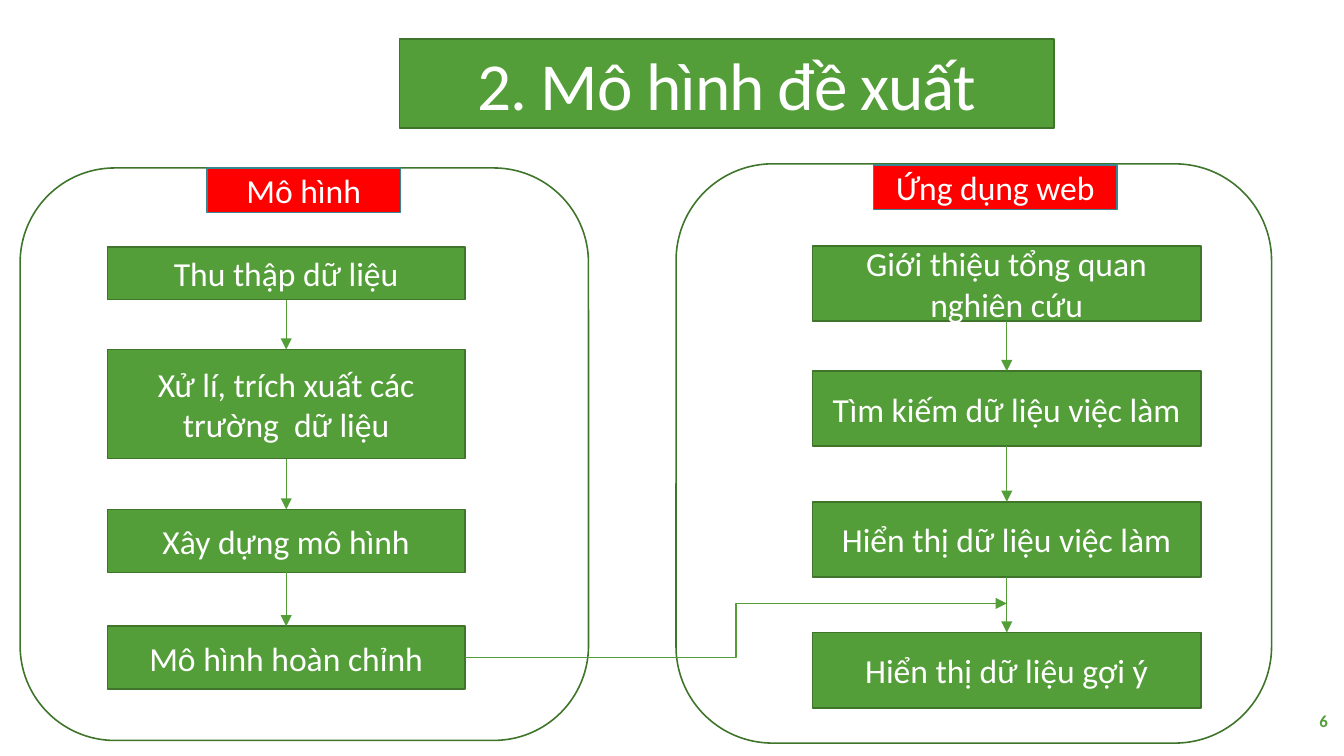
from dataclasses import dataclass
from itertools import pairwise

from lxml import etree
from pptx import Presentation
from pptx import util as u
from pptx.dml.color import RGBColor
from pptx.enum import shapes, text
from pptx.oxml.ns import qn

GREEN, DARK_GREEN = "549E39", "3E752A"
RED, TEAL, WHITE = "FF0000", "378691", "FFFFFF"
TOP, BOTTOM, RIGHT = 0, 2, 3  # connection sites of a rectangle


@dataclass
class Box:
    left: float
    top: float
    width: float
    height: float
    label: str = ""
    fill: str | None = GREEN
    line: str = DARK_GREEN
    size: float = 18
    kind: shapes.MSO_SHAPE = shapes.MSO_SHAPE.RECTANGLE


@dataclass
class Column:
    """A panel with a heading and a chain of steps given as (top, height, label)."""
    panel: Box
    heading: Box
    left: float
    width: float
    steps: list[tuple[float, float, str]]


def colour(value: str) -> RGBColor:
    return RGBColor.from_string(value)


def set_format(target, values: dict) -> None:
    for name, value in values.items():
        setattr(target, name, value)


def write(shape, label: str, size: float, hex_colour: str,
          alignment=text.PP_ALIGN.CENTER, bold: bool = False):
    frame = shape.text_frame
    set_format(frame, {"word_wrap": True, "vertical_anchor": text.MSO_ANCHOR.MIDDLE})
    paragraph = frame.paragraphs[0]
    paragraph.alignment = alignment
    run = paragraph.add_run()
    run.text = label
    set_format(run.font, {"name": "Calibri", "size": u.Pt(size), "bold": bold})
    run.font.color.rgb = colour(hex_colour)
    return run


def place(box: Box) -> list[u.Length]:
    return [u.Pt(value) for value in (box.left, box.top, box.width, box.height)]


def draw_box(slide, box: Box):
    shape = slide.shapes.add_shape(box.kind, *place(box))
    shape.shadow.inherit = False
    if box.fill:
        shape.fill.solid()
        shape.fill.fore_color.rgb = colour(box.fill)
    else:
        shape.fill.background()
    shape.line.color.rgb = colour(box.line)
    shape.line.width = u.Pt(0.85)
    if box.label:
        write(shape, box.label, box.size, WHITE)
    return shape


def draw_arrow(slide, kind, start: tuple[float, float], end: tuple[float, float]):
    connector = slide.shapes.add_connector(kind, *(u.Pt(value) for value in start + end))
    connector.line.color.rgb = colour(GREEN)
    connector.line.width = u.Pt(0.75)
    properties = connector.element.spPr
    etree.SubElement(properties.find(qn("a:ln")), qn("a:tailEnd"), type="triangle")
    etree.SubElement(properties, qn("a:effectLst"))
    return connector


def draw_column(slide, column: Column) -> list:
    """Draw the panel, its steps and the arrows between them; return the steps."""
    draw_box(slide, column.panel)
    steps = [draw_box(slide, Box(column.left, top, column.width, height, label))
             for top, height, label in column.steps]
    centre = column.left + column.width / 2
    for upper, lower in pairwise(steps):
        start = (centre, (upper.top + upper.height).pt if hasattr(upper.top + upper.height, "pt")
                 else u.Emu(upper.top + upper.height).pt)
        arrow = draw_arrow(slide, shapes.MSO_CONNECTOR.STRAIGHT, start, (centre, lower.top.pt))
        arrow.begin_connect(upper, BOTTOM)
        arrow.end_connect(lower, TOP)
    draw_box(slide, column.heading)
    return steps


def panel(left: float, top: float, width: float, height: float) -> Box:
    return Box(left, top, width, height, fill=None, kind=shapes.MSO_SHAPE.ROUNDED_RECTANGLE)


def heading(left: float, top: float, width: float, label: str) -> Box:
    return Box(left, top, width, 23.8, label, RED, TEAL)


MODEL = Column(
    panel(10.8, 90, 304.5, 306.7), heading(110.9, 90, 103.7, "Mô hình"), 57.6, 191.5,
    [(132.5, 28, "Thu thập dữ liệu"),
     (187.2, 58.5, "Xử lí, trích xuất các trường  dữ liệu"),
     (272.9, 33.8, "Xây dựng mô hình"),
     (335.5, 33.8, "Mô hình hoàn chỉnh")])
WEB = Column(
    panel(362.2, 87.8, 319, 310.3), heading(468, 88.5, 130.5, "Ứng dụng web"), 435.2, 208.3,
    [(131.8, 40.3, "Giới thiệu tổng quan nghiên cứu"),
     (198.8, 40.3, "Tìm kiếm dữ liệu việc làm"),
     (268.8, 40.3, "Hiển thị dữ liệu việc làm"),
     (338.9, 40.3, "Hiển thị dữ liệu gợi ý")])


def main() -> None:
    presentation = Presentation()
    set_format(presentation, {"slide_width": u.Pt(720), "slide_height": u.Pt(405)})
    slide = presentation.slides.add_slide(presentation.slide_layouts[6])

    title = draw_box(slide, Box(214, 20.9, 350.6, 47.6))
    run = write(title, "2. Mô hình đề xuất", 36, WHITE)
    run.font._element.set("spc", "-50") if hasattr(run.font, "_element") else \
        run._r.get_or_add_rPr().set("spc", "-50")

    model_steps = draw_column(slide, MODEL)
    draw_column(slide, WEB)
    link = draw_arrow(slide, shapes.MSO_CONNECTOR.ELBOW,
                      (MODEL.left + MODEL.width, 352.4), (WEB.left + WEB.width / 2, 323.3))
    link.begin_connect(model_steps[-1], RIGHT)

    number = slide.shapes.add_textbox(*place(Box(627.8, 375.1, 90.7, 21.6)))
    write(number, "6", 9, GREEN, text.PP_ALIGN.RIGHT, bold=True)
    presentation.save("out.pptx")


if __name__ == "__main__":
    main()
